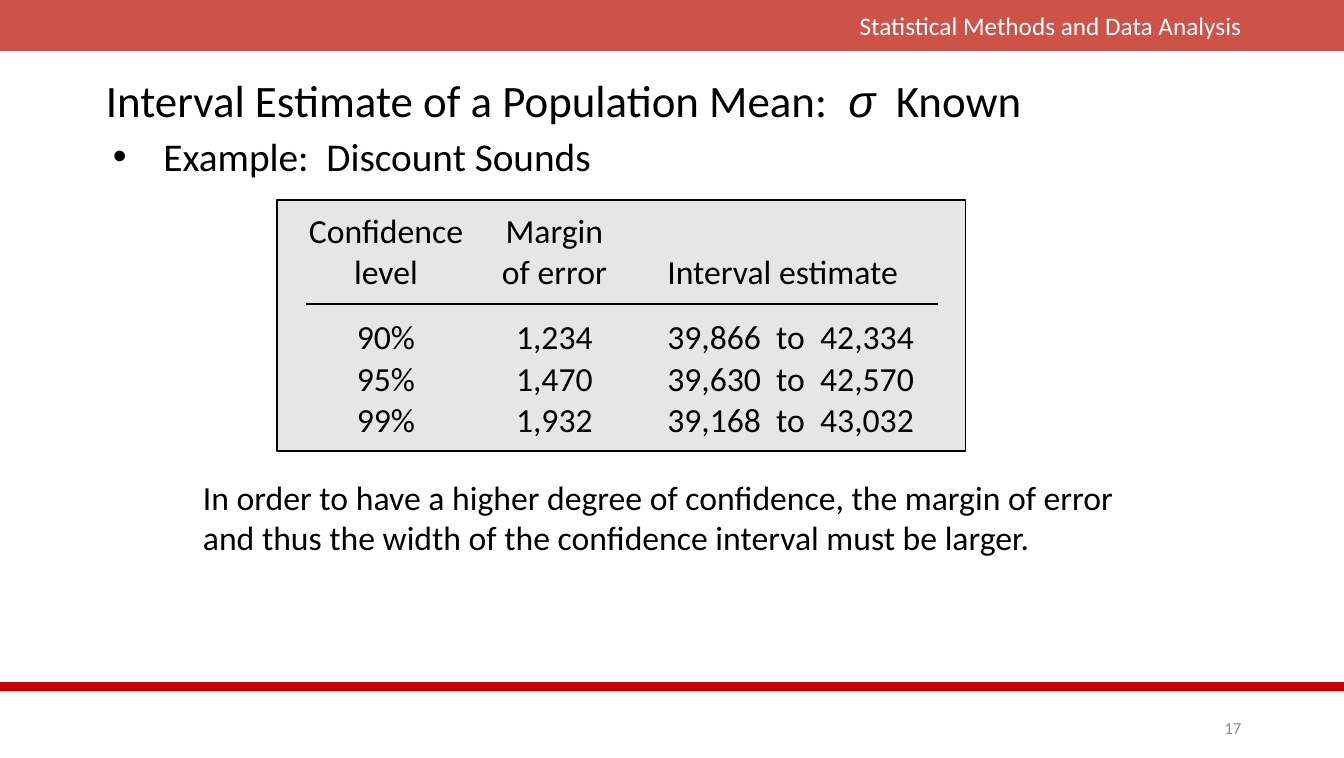
from lxml import etree
from pptx import Presentation
from pptx import util as u
from pptx.dml import color as c
from pptx.enum import shapes, text
from pptx.oxml import ns

COLORS = {
    "banner": "BF2317",
    "rule": "CC0000",
    "panel": "E7E6E6",
    "ink": "000000",
    "white": "FFFFFF",
    "muted": "8C8C8C",
}
ALIGN = text.PP_ALIGN
ANCHOR = text.MSO_ANCHOR
WIDTH, HEIGHT = 957.6, 540


def color(name):
    return c.RGBColor.from_string(COLORS[name])


def add_child(parent, tag, **attributes):
    return etree.SubElement(parent, ns.qn(tag), **attributes)


class SlideBuilder:
    font = "Calibri"

    def __init__(self, page):
        self.page = page

    def style(self, para, size, ink="ink", align=ALIGN.LEFT):
        para.alignment = align
        for span in para.runs:
            span.font.name = self.font
            span.font.size = u.Pt(size)
            span.font.color.rgb = color(ink)

    def rect(self, left, top, width, height, fill, line=None, opacity=None):
        box = self.page.shapes.add_shape(
            shapes.MSO_SHAPE.RECTANGLE,
            u.Pt(left), u.Pt(top), u.Pt(width), u.Pt(height))
        box.shadow.inherit = False
        box.fill.solid()
        box.fill.fore_color.rgb = color(fill)
        if opacity:
            tint = box._element.spPr.find(".//" + ns.qn("a:srgbClr"))
            add_child(tint, "a:alpha", val=str(opacity * 1000))
        if line:
            box.line.color.rgb = color(line)
            box.line.width = u.Pt(1)
        else:
            box.line.fill.background()

    def label(self, left, top, width, height, spans, size, ink="ink",
              align=ALIGN.LEFT, anchor=ANCHOR.TOP):
        box = self.page.shapes.add_textbox(
            u.Pt(left), u.Pt(top), u.Pt(width), u.Pt(height))
        frame = box.text_frame
        frame.word_wrap = True
        frame.vertical_anchor = anchor
        para = frame.paragraphs[0]
        for words in spans:
            para.add_run().text = words
        self.style(para, size, ink, align)
        return para

    def bullet(self, para, indent):
        props = para._p.get_or_add_pPr()
        props.set("marL", str(u.Pt(indent)))
        props.set("indent", str(-u.Pt(indent)))
        add_child(props, "a:buFont", typeface="Arial")
        add_child(props, "a:buChar", char="•")

    def line(self, left, right, y):
        rule = self.page.shapes.add_connector(
            shapes.MSO_CONNECTOR.STRAIGHT,
            u.Pt(left), u.Pt(y), u.Pt(right), u.Pt(y))
        rule.line.color.rgb = color("ink")
        rule.line.width = u.Pt(1)
        add_child(rule._element.spPr, "a:effectLst")

    def table(self, left, top, rows, widths, heights, aligns, inset, header_gap):
        frame = self.page.shapes.add_table(
            len(rows), len(widths), u.Pt(left), u.Pt(top),
            u.Pt(sum(widths)), u.Pt(sum(heights)))
        grid = frame.table
        grid.first_row = grid.horz_banding = False
        for column, width in zip(grid.columns, widths):
            column.width = u.Pt(width)
        for r, (row, height) in enumerate(zip(rows, heights)):
            grid.rows[r].height = u.Pt(height)
            for cell, words, align in zip(grid.rows[r].cells, row, aligns):
                cell.margin_left = u.Pt(inset if align == ALIGN.LEFT else 0)
                cell.margin_right = cell.margin_top = 0
                cell.margin_bottom = u.Pt(0 if r else header_gap)
                cell.vertical_anchor = ANCHOR.BOTTOM
                cell.text_frame.text = words
                for para in cell.text_frame.paragraphs:
                    self.style(para, 24, align=align)
                self.clear_borders(cell)
                cell.fill.background()

    def clear_borders(self, cell):
        props = cell._tc.get_or_add_tcPr()
        for side in "LRTB":
            add_child(add_child(props, "a:ln" + side, w="0"), "a:noFill")


def main():
    deck = Presentation()
    deck.slide_width, deck.slide_height = u.Pt(WIDTH), u.Pt(HEIGHT)
    slide = SlideBuilder(deck.slides.add_slide(deck.slide_layouts[6]))

    # Banner and footer
    slide.rect(0, 0, WIDTH, 36.5, "banner", opacity=78)
    slide.label(455, 3.6, 436.5, 29, ["Statistical Methods and Data Analysis"],
                18, "white", ALIGN.RIGHT)
    slide.rect(0, 486, WIDTH, 6.5, "rule")
    slide.label(842.5, 507.6, 49, 21.6, ["17"], 12, "muted",
                ALIGN.RIGHT, ANCHOR.MIDDLE)

    # Title and example heading
    title = slide.label(
        68.4, 45, 814, 52,
        ["Interval Estimate of a Population Mean:  ", "σ", "  Known"],
        32, anchor=ANCHOR.MIDDLE)
    sigma = title.runs[1].font
    sigma.name, sigma.italic = "Arial", True
    example = slide.label(73.4, 90.7, 632, 40, ["Example:  Discount Sounds"], 28)
    slide.bullet(example, 36)

    # Confidence table on its panel
    slide.rect(197.5, 142.6, 490.5, 178.6, "panel", "ink")
    slide.table(
        215, 150.5,
        [("Confidence\nlevel", "Margin\nof error", "Interval estimate"),
         ("90%", "1,234", "39,866  to  42,334"),
         ("95%", "1,470", "39,630  to  42,570"),
         ("99%", "1,932", "39,168  to  43,032")],
        widths=[120, 120, 213], heights=[76] + [29.3] * 3,
        aligns=[ALIGN.CENTER, ALIGN.CENTER, ALIGN.LEFT],
        inset=20.5, header_gap=17)
    slide.line(218, 668, 216.7)

    # Conclusion
    slide.label(
        137.5, 325.5, 682, 86,
        ["In order to have a higher degree of confidence, the margin of error "
         "and thus the width of the confidence interval must be larger."],
        24, anchor=ANCHOR.MIDDLE)

    deck.save("out.pptx")


if __name__ == "__main__":
    main()
